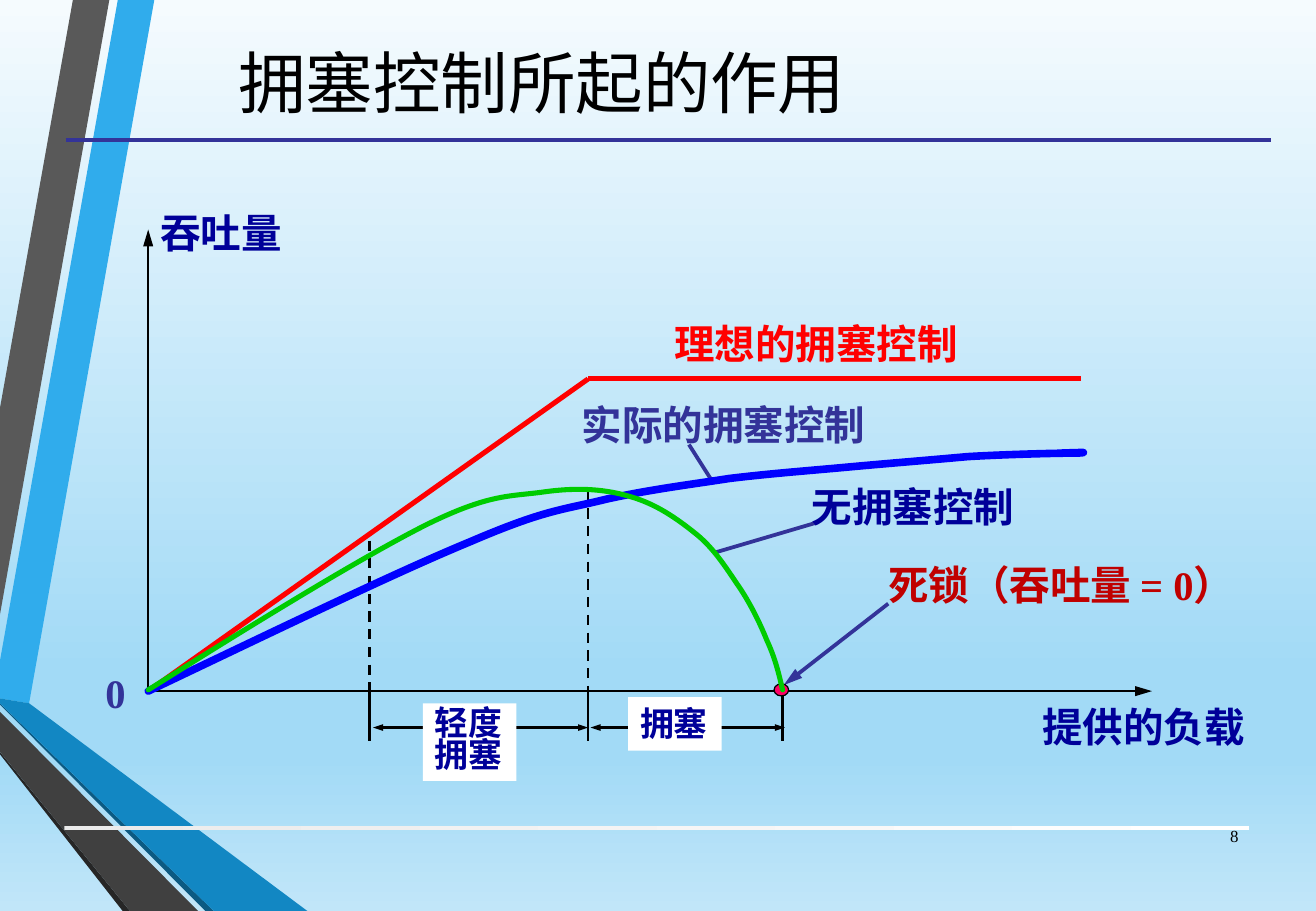
from lxml.etree import SubElement
from pptx import Presentation
from pptx.dml.color import RGBColor
from pptx.enum.dml import MSO_LINE
from pptx.enum.shapes import MSO_CONNECTOR, MSO_SHAPE
from pptx.enum.text import MSO_ANCHOR, PP_ALIGN
from pptx.oxml.ns import qn
from pptx.util import Cm, Pt

CM_PER_UNIT = 2.54
FONT = "Times New Roman"
BLACK, WHITE, NAVY, INDIGO = "000000", "FFFFFF", "000099", "333399"
RED, BLUE, GREEN, DARK_RED = "FF0000", "0000FF", "00CC00", "C00000"

SKY = [(0, "F5FBFE"), (74, "A2DAF6"), (83, "A2DAF6"), (100, "C1E6F9")]
FOOTER_RULE = [(0, "EBEBEB"), (100, WHITE)]
RIBBONS = [
    ("30ACEC", [(0, 5.44), (0, 5.75), (0.24, 5.79), (1.27, 0), (0.97, 0)]),
    ("595959", [(0.9, 0), (0.6, 0), (0, 3.36), (0, 5.06)]),
    ("262626", [(0, 6.19), (0, 6.21), (1.01, 7.5), (1.07, 7.5)]),
    ("0C5A82", [(0, 5.79), (0, 5.8), (1.69, 7.5), (1.76, 7.5)]),
    ("1287C3", [(0, 5.79), (1.76, 7.5), (2.53, 7.5), (0.24, 5.79), (0, 5.75)]),
    ("404040", [(0, 6.19), (1.07, 7.5), (1.63, 7.5), (0, 5.86)]),
]

ORIGIN_X, ORIGIN_Y = 1.22, 5.69
ORIGIN = (ORIGIN_X, ORIGIN_Y)
MILD_X, PEAK_X, DEADLOCK_X = 3.04, 4.84, 6.44
IDEAL_Y, TICK_Y, SPAN_Y = 3.12, 6.1, 5.99
PEAK = (PEAK_X, IDEAL_Y)

PLAIN, ARROW, SPAN, DASH = "plain", "arrow", "span", "dash"
LINES = [
    ((0.54, 1.15), (10.46, 1.15), INDIGO, 2.25, PLAIN),
    (ORIGIN, (ORIGIN_X, 1.89), BLACK, 1.5, ARROW),
    (ORIGIN, PEAK, RED, 3, PLAIN),
    (PEAK, (8.9, IDEAL_Y), RED, 3, PLAIN),
    (ORIGIN, (9.48, ORIGIN_Y), BLACK, 1.5, ARROW),
    ((7.31, 4.97), (6.45, 5.64), INDIGO, 2.25, ARROW),
    ((5.67, 3.66), (5.86, 3.96), INDIGO, 2.25, PLAIN),
    ((6.73, 4.3), (5.88, 4.55), INDIGO, 2.25, PLAIN),
    ((MILD_X + 0.03, SPAN_Y), (PEAK_X, SPAN_Y), BLACK, 1.5, SPAN),
    ((PEAK_X + 0.02, SPAN_Y), (DEADLOCK_X + 0.02, SPAN_Y), BLACK, 1.5, SPAN),
    ((MILD_X, 4.45), (MILD_X, ORIGIN_Y), BLACK, 1.5, DASH),
    ((PEAK_X, 4.04), (PEAK_X, ORIGIN_Y), BLACK, 1.5, DASH),
] + [((x, ORIGIN_Y), (x, TICK_Y), BLACK, 1.5, PLAIN)
     for x in (MILD_X, PEAK_X, DEADLOCK_X)]

CURVES = [
    (BLUE, 4.5, [
        ORIGIN, (2.23, 5.21), (3.24, 4.72), (3.87, 4.46),
        (4.5, 4.19), (4.63, 4.2), (4.99, 4.11),
        (5.35, 4.03), (5.68, 3.99), (6, 3.94),
        (6.33, 3.9), (6.6, 3.88), (6.93, 3.85),
        (7.25, 3.82), (7.63, 3.79), (7.96, 3.76),
        (8.29, 3.74), (8.75, 3.73), (8.88, 3.73),
        (9.01, 3.72), (8.76, 3.73), (8.74, 3.73)]),
    (GREEN, 3, [
        (ORIGIN_X, 5.68), (2.08, 5.14), (2.94, 4.61), (3.49, 4.33),
        (4.03, 4.06), (4.2, 4.09), (4.48, 4.05),
        (4.77, 4.01), (4.99, 4.03), (5.19, 4.09),
        (5.4, 4.15), (5.57, 4.27), (5.72, 4.39),
        (5.86, 4.5), (5.96, 4.65), (6.06, 4.8),
        (6.16, 4.94), (6.25, 5.12), (6.31, 5.27),
        (6.38, 5.42), (6.41, 5.55), (DEADLOCK_X, 5.68)]),
]

LABELS = [
    ("提供的负载", (8.48, 5.73, 1.89, 0.5), NAVY),
    ("吞吐量", (1.22, 1.66, 1.22, 0.5), NAVY),
    ("理想的拥塞控制", (5.45, 2.58, 2.57, 0.51), RED),
    ("实际的拥塞控制", (4.69, 3.24, 2.57, 0.51), INDIGO),
    ("0", (0.77, 5.45, 0.37, 0.5), INDIGO),
    ("无拥塞控制", (6.58, 3.92, 1.89, 0.51), NAVY),
]
SPAN_LABELS = [
    ("拥塞", (5.17, 5.74, 0.77, 0.44), 1),
    ("轻度\n拥塞", (3.48, 5.79, 0.77, 0.64), 0.8),
]


def rgb(color):
    return RGBColor.from_string(color)


def cm(*values):
    return [Cm(v * CM_PER_UNIT) for v in values]


def set_gradient(element, fill, stops, angle):
    fill.gradient()
    fill.gradient_angle = angle
    stop_list = next(element.iter(qn("a:gsLst")))
    for old in list(stop_list):
        stop_list.remove(old)
    for percent, color in stops:
        stop = SubElement(stop_list, qn("a:gs"), pos=str(percent * 1000))
        SubElement(stop, qn("a:srgbClr"), val=color)


def add_line(s, start, end, color, width, kind):
    line = s.shapes.add_connector(MSO_CONNECTOR.STRAIGHT, *cm(*start, *end))
    line.line.color.rgb = rgb(color)
    line.line.width = Pt(width)
    if kind == DASH:
        line.line.dash_style = MSO_LINE.DASH
    ln = line.line._get_or_add_ln()
    if kind == SPAN:
        for end_tag in ("a:headEnd", "a:tailEnd"):
            SubElement(ln, qn(end_tag), type="triangle", w="sm", len="med")
    if kind == ARROW:
        SubElement(ln, qn("a:tailEnd"), type="triangle", w="med", len="lg")
    SubElement(line._element.spPr, qn("a:effectLst"))


def add_outline(s, points, close):
    places = [tuple(cm(*point)) for point in points]
    builder = s.shapes.build_freeform(*places[0])
    builder.add_line_segments(places[1:], close=close)
    sp = builder.convert_to_shape()
    sp.shadow.inherit = False
    return sp


def add_curve(s, color, width, knots):
    sp = add_outline(s, knots, False)
    outline = next(sp._element.iter(qn("a:path")))
    segments = outline.findall(qn("a:lnTo"))
    for i in range(0, len(segments), 3):
        bezier = SubElement(outline, qn("a:cubicBezTo"))
        for segment in segments[i:i + 3]:
            bezier.append(segment[0])
            outline.remove(segment)
    sp.fill.background()
    sp.line.color.rgb = rgb(color)
    sp.line.width = Pt(width)
    sp.line._get_or_add_ln().set("cap", "rnd")


def add_preset(s, shape, box):
    sp = s.shapes.add_shape(shape, *cm(*box))
    sp.shadow.inherit = False
    return sp


def add_text(s, text, box, color, size=24, bold=True, wrap=False,
             align=PP_ALIGN.LEFT, anchor=MSO_ANCHOR.TOP, spacing=1):
    sp = s.shapes.add_textbox(*cm(*box))
    tf = sp.text_frame
    tf.word_wrap = wrap
    tf.vertical_anchor = anchor
    tf.text = text
    for p in tf.paragraphs:
        p.alignment = align
        p.line_spacing = spacing
        for r in p.runs:
            r.font.name = FONT
            r.font.size = Pt(size)
            r.font.bold = bold
            r.font.color.rgb = rgb(color)
    return sp


def main():
    prs = Presentation()
    prs.slide_width, prs.slide_height = cm(10.83, 7.5)
    s = prs.slides.add_slide(prs.slide_layouts[6])
    set_gradient(s.element, s.background.fill, SKY, 270)

    for color, points in RIBBONS:
        sp = add_outline(s, points, True)
        sp.fill.solid()
        sp.fill.fore_color.rgb = rgb(color)
        sp.line.fill.background()
    rule = add_preset(s, MSO_SHAPE.RECTANGLE, (0.53, 6.8, 9.75, 0.03))
    set_gradient(rule._element, rule.fill, FOOTER_RULE, 0)
    rule.line.fill.background()

    add_text(s, "拥塞控制所起的作用", (0.37, 0.05, 8.18, 1.24), BLACK, 40, False,
             True, PP_ALIGN.CENTER, MSO_ANCHOR.MIDDLE)
    for line in LINES:
        add_line(s, *line)
    dot = add_preset(s, MSO_SHAPE.OVAL, (6.37, 5.63, 0.12, 0.1))
    dot.fill.solid()
    dot.fill.fore_color.rgb = rgb("FF0066")
    dot.line.color.rgb = rgb(BLACK)
    dot.line.width = Pt(0.75)
    for curve in CURVES:
        add_curve(s, *curve)

    for label in LABELS:
        add_text(s, *label)
    add_text(s, "死锁（吞吐量 = 0）", (7.21, 4.56, 3.1, 0.51), DARK_RED, wrap=True)
    for text, box, spacing in SPAN_LABELS:
        sp = add_text(s, text, box, NAVY, 20, spacing=spacing)
        sp.fill.solid()
        sp.fill.fore_color.rgb = rgb(WHITE)
    add_text(s, "8", (9.78, 6.68, 0.51, 0.4), BLACK, 10, False, True,
             PP_ALIGN.RIGHT, MSO_ANCHOR.MIDDLE)
    prs.save("out.pptx")


if __name__ == "__main__":
    main()
